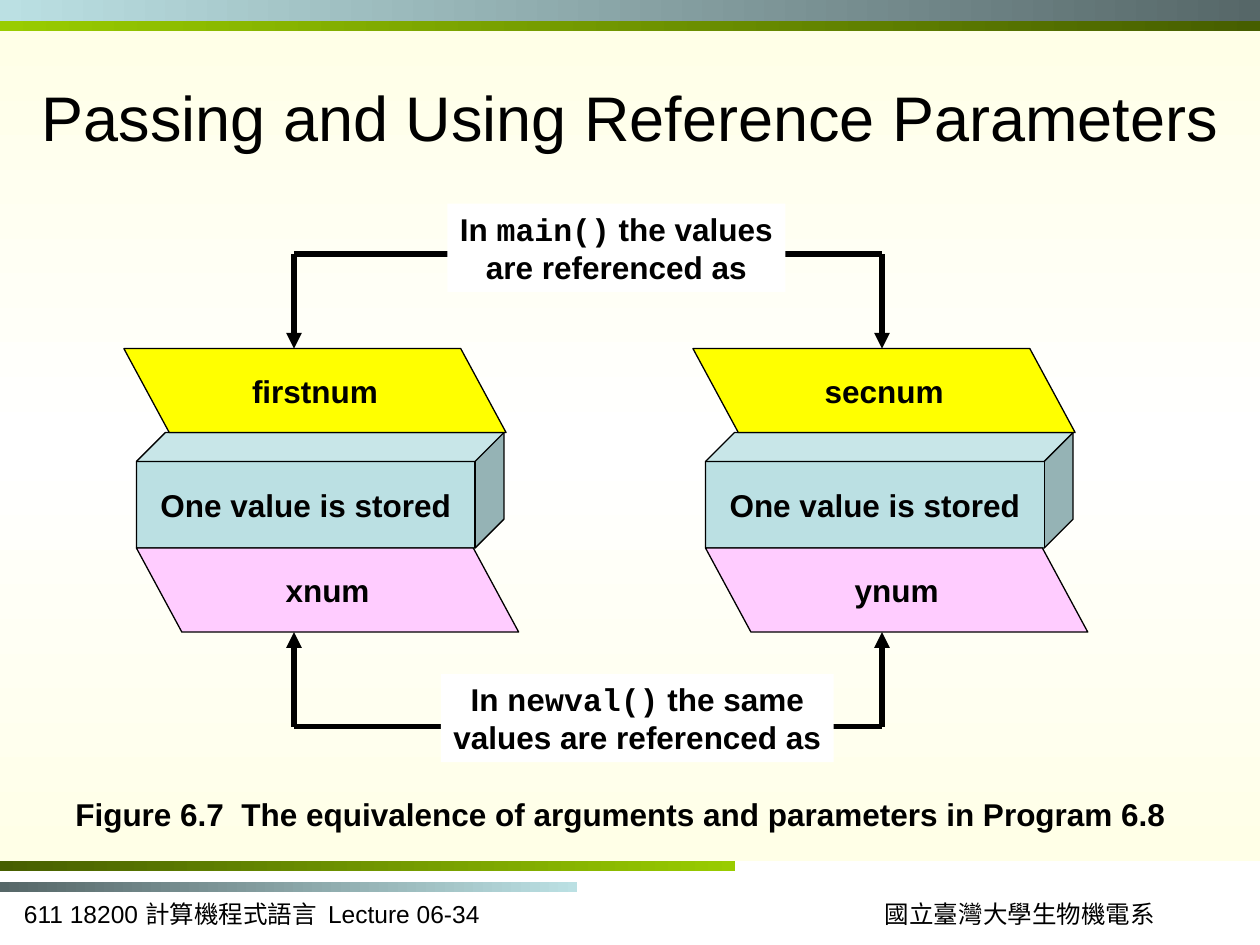
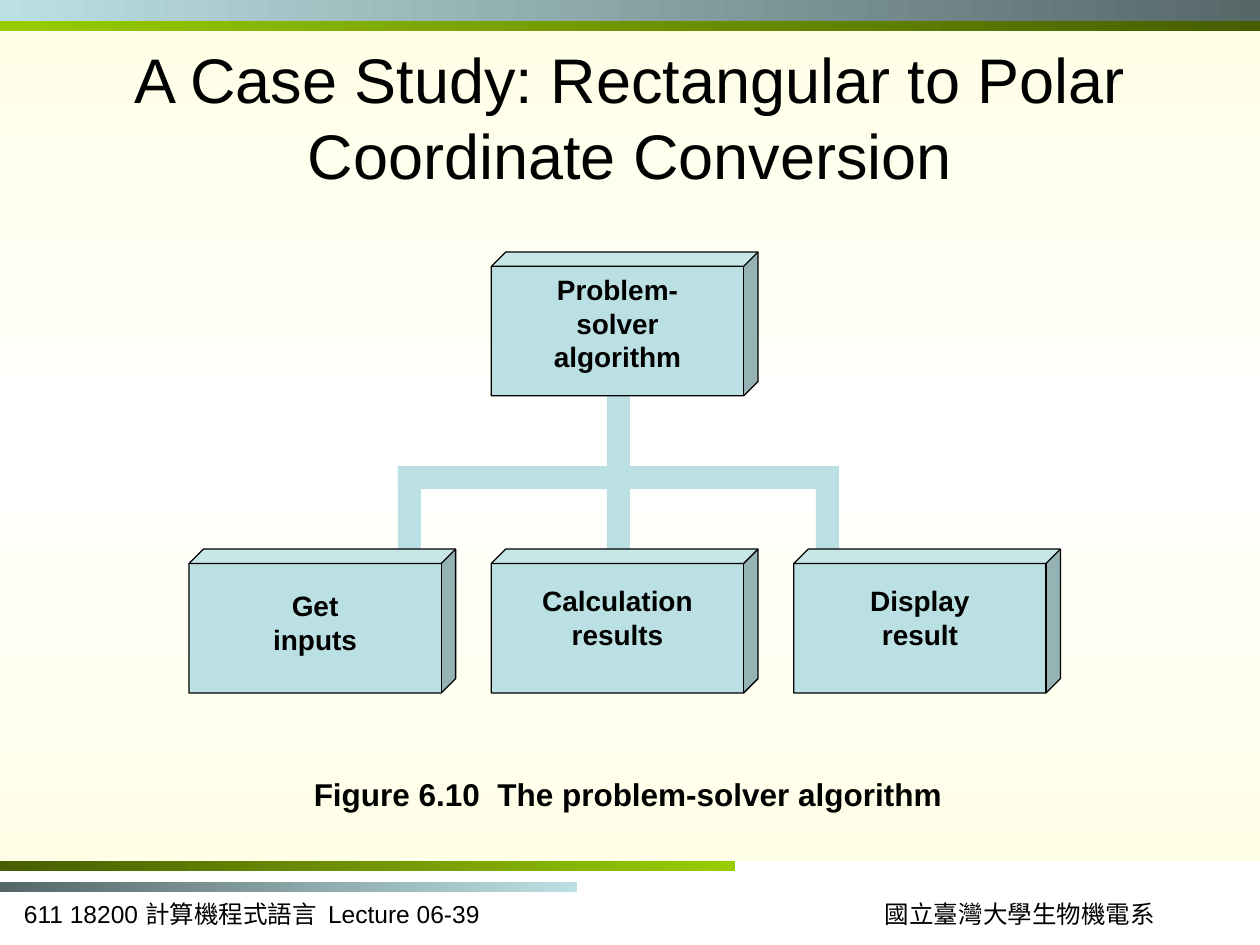
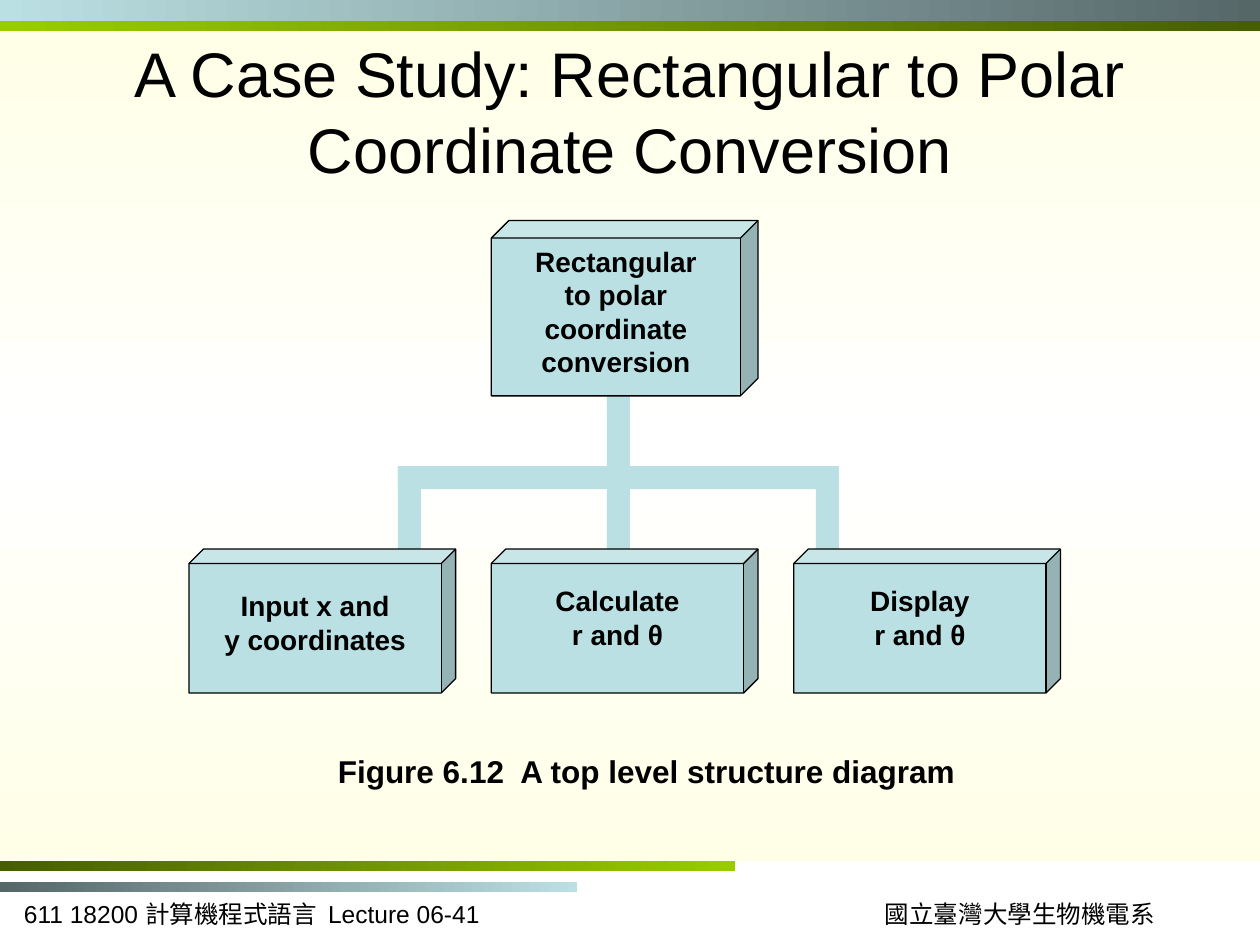
from copy import deepcopy

from lxml import etree
from pptx import Presentation
from pptx.dml.color import RGBColor
from pptx.enum.shapes import MSO_CONNECTOR, MSO_SHAPE
from pptx.enum.text import MSO_ANCHOR, PP_ALIGN
from pptx.oxml.ns import qn
from pptx.util import Inches, Pt

RECT, CUBE, SLANT = MSO_SHAPE.RECTANGLE, MSO_SHAPE.CUBE, MSO_SHAPE.PARALLELOGRAM
LINE = MSO_CONNECTOR.STRAIGHT
LEFT, CENTER = PP_ALIGN.LEFT, PP_ALIGN.CENTER
TOP, MIDDLE = MSO_ANCHOR.TOP, MSO_ANCHOR.MIDDLE

# Grid: 120 columns by 90 rows of square cells
WIDE, HIGH = Inches(10), Inches(7.5)
COLS, ROWS = 120, 90
CELL = WIDE // COLS

BLACK, WHITE = "000000", "FFFFFF"
AQUA, SLATE = "BBE0E3", "566768"
LIME, MOSS = "99CC00", "465E00"
CREAM, YELLOW, PINK = "FFFFE7", "FFFF00", "FFCCFF"
SANS, SERIF, MONO = "Arial", "Times New Roman", "Courier New"

CASE = "A Case Study: Rectangular to Polar Coordinate Conversion"


def color(code):
    return RGBColor.from_string(code)


def cells(*counts):
    return [round(n * CELL) for n in counts]


# Basic elements
def style(run, size, bold=False, face=SANS):
    font = run.font
    font.size, font.bold, font.name = Pt(size), bold, face
    font.color.rgb = color(BLACK)


def write(shape, text, size, bold=False, face=SANS, align=CENTER,
          anchor=TOP, wrap=True):
    frame = shape.text_frame
    frame.text = text
    frame.word_wrap, frame.vertical_anchor = wrap, anchor
    for para in frame.paragraphs:
        para.alignment = align
        for run in para.runs:
            style(run, size, bold, face)


def label(slide, box, text, size, **look):
    write(slide.shapes.add_textbox(*cells(*box)), text, size, **look)


def block(slide, kind, box, fill, edge=False):
    shape = slide.shapes.add_shape(kind, *cells(*box))
    shape.shadow.inherit = False
    shape.fill.solid()
    shape.fill.fore_color.rgb = color(fill)
    if edge:
        shape.line.color.rgb = color(BLACK)
        shape.line.width = Pt(0.75)
    else:
        shape.line.fill.background()
    return shape


def fade(slide, box, codes, angle=0):
    """Rectangle with evenly spaced gradient stops."""
    shape = block(slide, RECT, box, codes[0])
    shape.fill.gradient()
    shape.fill.gradient_angle = angle
    stops = shape._element.spPr.find(qn("a:gradFill")).find(qn("a:gsLst"))
    for _ in codes[2:]:
        stops.append(deepcopy(stops[0]))
    for i, (stop, code) in enumerate(zip(shape.fill.gradient_stops, codes)):
        stop.position = i / (len(codes) - 1)
        stop.color.rgb = color(code)


def link(slide, start, end, arrow=False):
    line = slide.shapes.add_connector(LINE, *cells(*start, *end))
    line.line.color.rgb = color(BLACK)
    line.line.width = Pt(3)
    props = line._element.spPr
    if arrow:
        tip = etree.SubElement(props.find(qn("a:ln")), qn("a:tailEnd"))
        tip.set("type", "triangle")
    etree.SubElement(props, qn("a:effectLst"))


# Shared slide frame
def page(deck, number, title, box):
    slide = deck.slides.add_slide(deck.slide_layouts[6])
    fade(slide, (0, 2, COLS, 1), (LIME, MOSS))
    label(slide, (1.1, 85, 57, 4),
          f"611 18200 計算機程式語言  Lecture 06-{number}", 14, align=LEFT)
    label(slide, (82, 85, 30.3, 4), "國立臺灣大學生物機電系", 14, face=SERIF)
    fade(slide, (0, 3, COLS, 79), (CREAM, WHITE, CREAM), 90)
    fade(slide, (0, 84, 55, 1), (SLATE, AQUA))
    fade(slide, (0, 82, 70, 1), (MOSS, LIME))
    fade(slide, (0, 0, COLS, 2), (AQUA, SLATE))
    label(slide, box, title, 36, anchor=MIDDLE)
    return slide


def caption(slide, left, top, width, text):
    label(slide, (left, top, width, 4.8), text, 18, bold=True, align=LEFT)


# Reference diagram
def slant(slide, left, top, fill, text):
    shape = block(slide, SLANT, (left, top, 36.4, 8), fill, edge=True)
    shape.adjustments[0] = 0.54
    shape._element.spPr.find(qn("a:xfrm")).set("flipH", "1")
    write(shape, text, 18, bold=True, anchor=MIDDLE, wrap=False)


def stack(slide, left, upper, lower):
    """Stored value between its two names."""
    store = block(slide, CUBE, (left, 41.2, 35, 11), AQUA, edge=True)
    store.adjustments[0] = 0.25
    write(store, "One value is stored", 18, bold=True, anchor=MIDDLE, wrap=False)
    slant(slide, left - 1.2, 33.2, YELLOW, upper)
    slant(slide, left, 52.2, PINK, lower)


def fork(slide, bar, tip, box, call, rest, last):
    """Bar with two arrows and a note on how the values are named."""
    ends = (28, 84)
    for x in ends:
        link(slide, (x, bar), (x, tip), arrow=True)
    link(slide, (ends[0], bar), (ends[1], bar))
    note = block(slide, RECT, box, WHITE)
    write(note, "In ", 18, bold=True, wrap=False)
    para = note.text_frame.paragraphs[0]
    for text, face in ((call, MONO), (rest, SANS), (last, SANS)):
        if text == last:
            para.add_line_break()
        run = para.add_run()
        run.text = text
        style(run, 18, True, face)


# Structure chart
def node(slide, left, top, height, text, inset=0.05):
    shape = block(slide, CUBE, (left, top, 25.4, height), AQUA, edge=True)
    shape.adjustments[0] = 0.1
    write(shape, text, 16, bold=True)
    shape.text_frame.margin_top = Inches(inset)


def tree(slide, top, root, kids):
    first, step, base, deep = 18, 28.8, 52.3, 13.7
    foot, cross, thick = 37.7, 44.4, 2.2
    left, mid, right = 37.9, 57.8, 77.7
    block(slide, RECT, (mid, foot, thick, base - foot), AQUA)
    for x in (left, right):
        block(slide, RECT, (x, cross, thick, base - cross), AQUA)
    block(slide, RECT, (left, cross, right + thick - left, thick), AQUA)
    node(slide, first + step, top, foot - top, root)
    for i, text in enumerate(kids):
        node(slide, first + i * step, base, deep, text, 0.16 if i else 0.2)


def main():
    deck = Presentation()
    deck.slide_width, deck.slide_height = WIDE, HIGH

    # Reference parameters
    slide = page(deck, 34, "Passing and Using Reference Parameters",
                 (2, 3.6, 116, 15))
    caption(slide, 6, 75.1, 109,
            "Figure 6.7  The equivalence of arguments and parameters in Program 6.8")
    stack(slide, 13, "firstnum", "xnum")
    stack(slide, 67.2, "secnum", "ynum")
    fork(slide, 24.2, 33.2, (42.6, 19.4, 32.2, 8.4),
         "main()", " the values", "are referenced as")
    fork(slide, 69.2, 60.2, (42, 64.2, 37.4, 8.4),
         "newval()", " the same", "values are referenced as")

    # Problem-solver algorithm
    slide = page(deck, 39, CASE, (6, 3.6, 108, 15))
    caption(slide, 28.7, 73.2, 63.7, "Figure 6.10  The problem-solver algorithm")
    tree(slide, 24, "Problem-\nsolver\nalgorithm",
         ("Get\ninputs", "Calculation\nresults", "Display\nresult"))

    # Top level structure
    slide = page(deck, 41, CASE, (7, 3, 106, 15))
    caption(slide, 31, 71, 62.6, "Figure 6.12  A top level structure diagram")
    tree(slide, 21, "Rectangular\nto polar\ncoordinate\nconversion",
         ("Input x and\ny coordinates", "Calculate\nr and θ", "Display\nr and θ"))

    deck.save("out.pptx")


if __name__ == "__main__":
    main()
